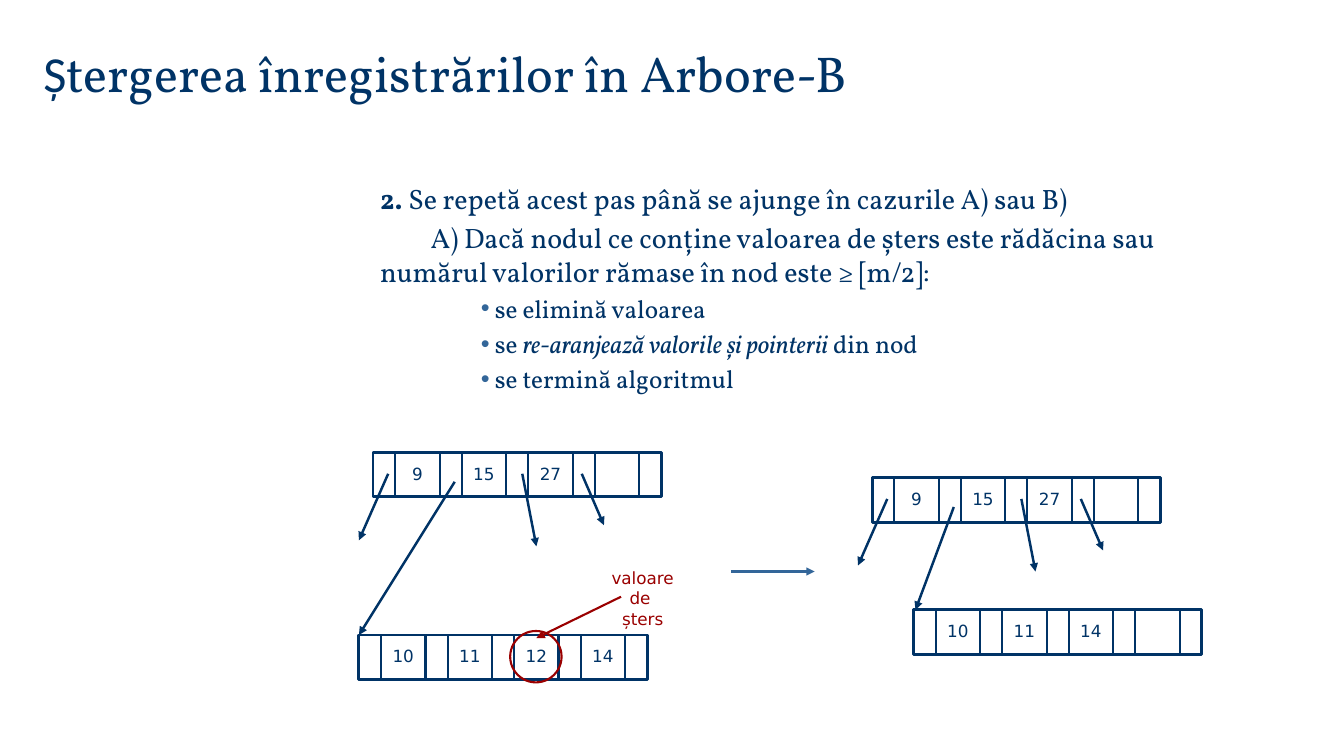
import dataclasses

import lxml.etree
import pptx
import pptx.dml.color
import pptx.enum.shapes
import pptx.enum.text
import pptx.oxml.ns
import pptx.util

Inches = pptx.util.Inches
Pt = pptx.util.Pt
SHAPE = pptx.enum.shapes.MSO_SHAPE
ALIGN = pptx.enum.text.PP_ALIGN
ANCHOR = pptx.enum.text.MSO_ANCHOR

POINTER_WIDTH, VALUE_WIDTH, NODE_HEIGHT, SLOTS = 0.22, 0.44, 0.44, 4
SLOT_WIDTH = POINTER_WIDTH + VALUE_WIDTH


@dataclasses.dataclass(frozen=True)
class Theme:
    """Fonts, colours and type sizes of the slide."""
    text_font: str = "Vollkorn"
    initial_font: str = "Calibri"
    node_font: str = "DejaVu Sans"
    navy: str = "003366"
    blue: str = "336699"
    red: str = "9A0000"
    white: str = "FFFFFF"
    title_size: float = 36
    step_size: float = 20
    action_size: float = 18
    node_size: float = 12


def rgb(color):
    """Turn a hex string into a colour."""
    return pptx.dml.color.RGBColor.from_string(color)


def add_xml(parent, tag, **attributes):
    """Append a DrawingML element and return it."""
    return lxml.etree.SubElement(parent, pptx.oxml.ns.qn(tag), attributes)


class SlideBuilder:
    """Draws styled elements on one slide."""

    def __init__(self, page, theme):
        """Keep the slide and its style."""
        self.page = page
        self.theme = theme

    def spans(self, para, parts, size, color):
        """Fill a paragraph with (text, font, bold, italic) parts."""
        for text, font, bold, italic in parts:
            span = para.add_run()
            span.text = text
            span.font.name, span.font.size = font, Pt(size)
            span.font.bold, span.font.italic = bold, italic
            span.font.color.rgb = rgb(color)

    def place(self, box, left, top, width, height, anchor):
        """Move a placeholder and return its text frame."""
        box.left, box.top = Inches(left), Inches(top)
        box.width, box.height = Inches(width), Inches(height)
        frame = box.text_frame
        frame.word_wrap = True
        frame.auto_size = pptx.enum.text.MSO_AUTO_SIZE.NONE
        frame.vertical_anchor = anchor
        return frame

    def title(self, initial, rest):
        """Write the title, whose initial has its own font."""
        frame = self.place(self.page.shapes.title, 0.33, 0.36, 10.39, 0.71, ANCHOR.BOTTOM)
        para = frame.paragraphs[0]
        para.alignment = ALIGN.LEFT
        parts = [(initial, self.theme.initial_font, False, False),
                 (rest, self.theme.text_font, False, False)]
        self.spans(para, parts, self.theme.title_size, self.theme.navy)

    def body(self, steps, actions):
        """Write plain steps followed by bulleted actions."""
        theme = self.theme
        frame = self.place(self.page.placeholders[1], 3.17, 1.75, 9.25, 2.45, ANCHOR.TOP)
        entries = [(parts, False) for parts in steps] + [(parts, True) for parts in actions]
        for index, (parts, bulleted) in enumerate(entries):
            para = frame.add_paragraph() if index else frame.paragraphs[0]
            size = theme.action_size if bulleted else theme.step_size
            para.space_before = Pt(size * 0.2)
            para.alignment = ALIGN.LEFT
            properties = para._p.get_or_add_pPr()
            properties.set("marL", str(Inches(1.5 if bulleted else 0.5)))
            properties.set("indent", "0")
            if bulleted:
                para.level = 2
                add_xml(add_xml(properties, "a:buClr"), "a:srgbClr", val=theme.blue)
                add_xml(properties, "a:buChar", char="•")
            else:
                add_xml(properties, "a:buNone")
            styled = [(text, theme.text_font, style == "bold", style == "italic")
                      for text, style in parts]
            self.spans(para, styled, size, theme.navy)

    def shape(self, shapes, preset, box, fill, color, weight):
        """Add an outlined preset shape, unfilled when fill is None."""
        item = shapes.add_shape(preset, *map(Inches, box))
        item.shadow.inherit = False
        if fill:
            item.fill.solid()
            item.fill.fore_color.rgb = rgb(fill)
        else:
            item.fill.background()
        item.line.color.rgb = rgb(color)
        item.line.width = Pt(weight)

    def line(self, shapes, start, end, color, weight, arrow=False):
        """Add a straight line, with an arrowhead at its end if asked."""
        item = shapes.add_connector(pptx.enum.shapes.MSO_CONNECTOR.STRAIGHT,
                                    *map(Inches, (*start, *end)))
        item.line.color.rgb = rgb(color)
        item.line.width = Pt(weight)
        if arrow:
            add_xml(item.line._get_or_add_ln(), "a:tailEnd", type="triangle")
        add_xml(item._element.spPr, "a:effectLst")

    def label(self, shapes, text, box, color, side_margin=0.0):
        """Add small centred text."""
        frame = shapes.add_textbox(*map(Inches, box)).text_frame
        frame.word_wrap = True
        frame.margin_left = frame.margin_right = Inches(side_margin)
        frame.vertical_anchor = ANCHOR.MIDDLE
        para = frame.paragraphs[0]
        para.text = text
        para.alignment = ALIGN.CENTER
        para.font.name, para.font.size = self.theme.node_font, Pt(self.theme.node_size)
        para.font.color.rgb = rgb(color)

    def node(self, left, top, values):
        """Draw a B-tree node: pointer cells alternating with value cells."""
        navy = self.theme.navy
        shapes = self.page.shapes.add_group_shape().shapes
        width = SLOTS * SLOT_WIDTH + POINTER_WIDTH
        self.shape(shapes, SHAPE.RECTANGLE, (left, top, width, NODE_HEIGHT),
                   self.theme.white, navy, 2)
        for slot in range(SLOTS):
            value_left = left + POINTER_WIDTH + slot * SLOT_WIDTH
            for x in (value_left, value_left + VALUE_WIDTH):
                self.line(shapes, (x, top + 0.01), (x, top + 0.01 + NODE_HEIGHT), navy, 1.5)
            if slot < len(values):
                self.label(shapes, str(values[slot]),
                           (value_left, top + 0.06, VALUE_WIDTH, 0.3), navy)

    def tree(self, root, root_values, child, child_values, child_target):
        """Draw a root, one child and the pointers leaving the root."""
        self.node(*root, root_values)
        self.node(*child, child_values)
        left, top = root
        pointers = [((0.15, 0.21), (-0.14, 0.87)), ((1.48, 0.21), (1.62, 0.93)),
                    ((2.07, 0.21), (2.29, 0.72))]
        arrows = [((left + x1, top + y1), (left + x2, top + y2))
                  for (x1, y1), (x2, y2) in pointers]
        arrows.append(((left + 0.81, top + 0.29), child_target))
        for start, end in arrows:
            self.line(self.page.shapes, start, end, self.theme.navy, 1.75, arrow=True)


def main():
    """Build and save the slide."""
    deck = pptx.Presentation()
    deck.slide_width, deck.slide_height = Inches(13.33), Inches(7.5)
    page = deck.slides.add_slide(deck.slide_layouts[1])
    theme = Theme()
    builder = SlideBuilder(page, theme)

    builder.title("Ș", "tergerea înregistrărilor în Arbore-B")
    builder.body(
        steps=[
            [("2. ", "bold"), ("Se repetă acest pas până se ajunge în cazurile A) sau B)", "")],
            [("\tA) Dacă nodul ce conține valoarea de șters este rădăcina sau "
              "numărul valorilor rămase în nod este ≥ [m/2]:", "")],
        ],
        actions=[
            [(" se elimină valoarea", "")],
            [(" se ", ""), ("re-aranjează valorile și pointerii", "italic"), (" din nod", "")],
            [(" se termină algoritmul", "")],
        ])

    root_values = [9, 15, 27]
    builder.tree((3.7, 4.49), root_values, (3.56, 6.3), [10, 11, 12, 14], (3.56, 6.3))
    builder.tree((8.65, 4.74), root_values, (9.06, 6.05), [10, 11, 14], (9.08, 6.05))

    builder.shape(page.shapes, SHAPE.OVAL, (5.06, 6.26, 0.51, 0.51), None, theme.red, 1.5)
    builder.line(page.shapes, (6.16, 5.92), (5.32, 6.33), theme.red, 1.5, arrow=True)
    builder.label(page.shapes, "valoare de \vșters", (5.91, 5.58, 0.93, 0.71), theme.red, 0.1)
    builder.line(page.shapes, (7.25, 5.67), (8.08, 5.67), theme.blue, 1.5, arrow=True)
    deck.save("out.pptx")


main()
